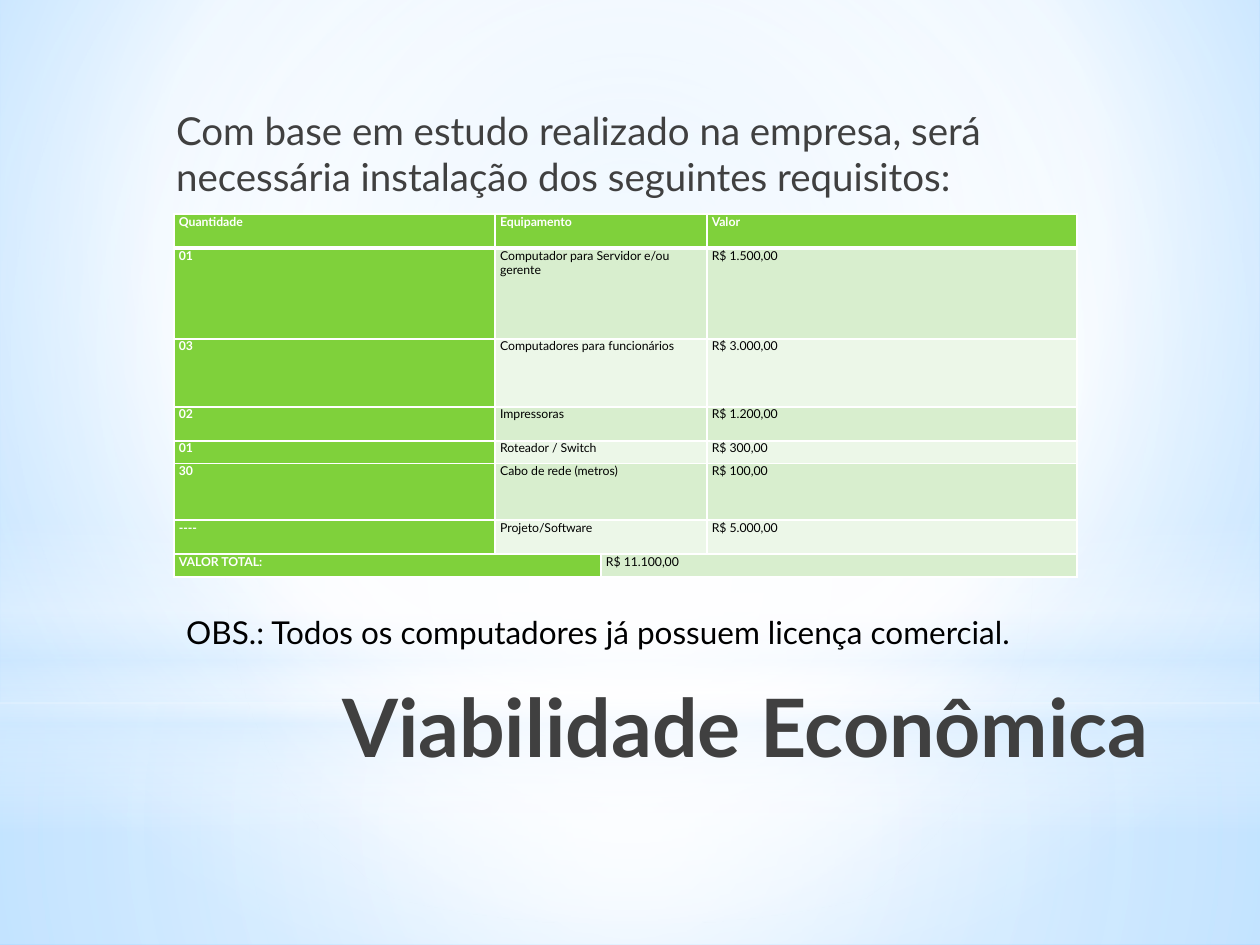
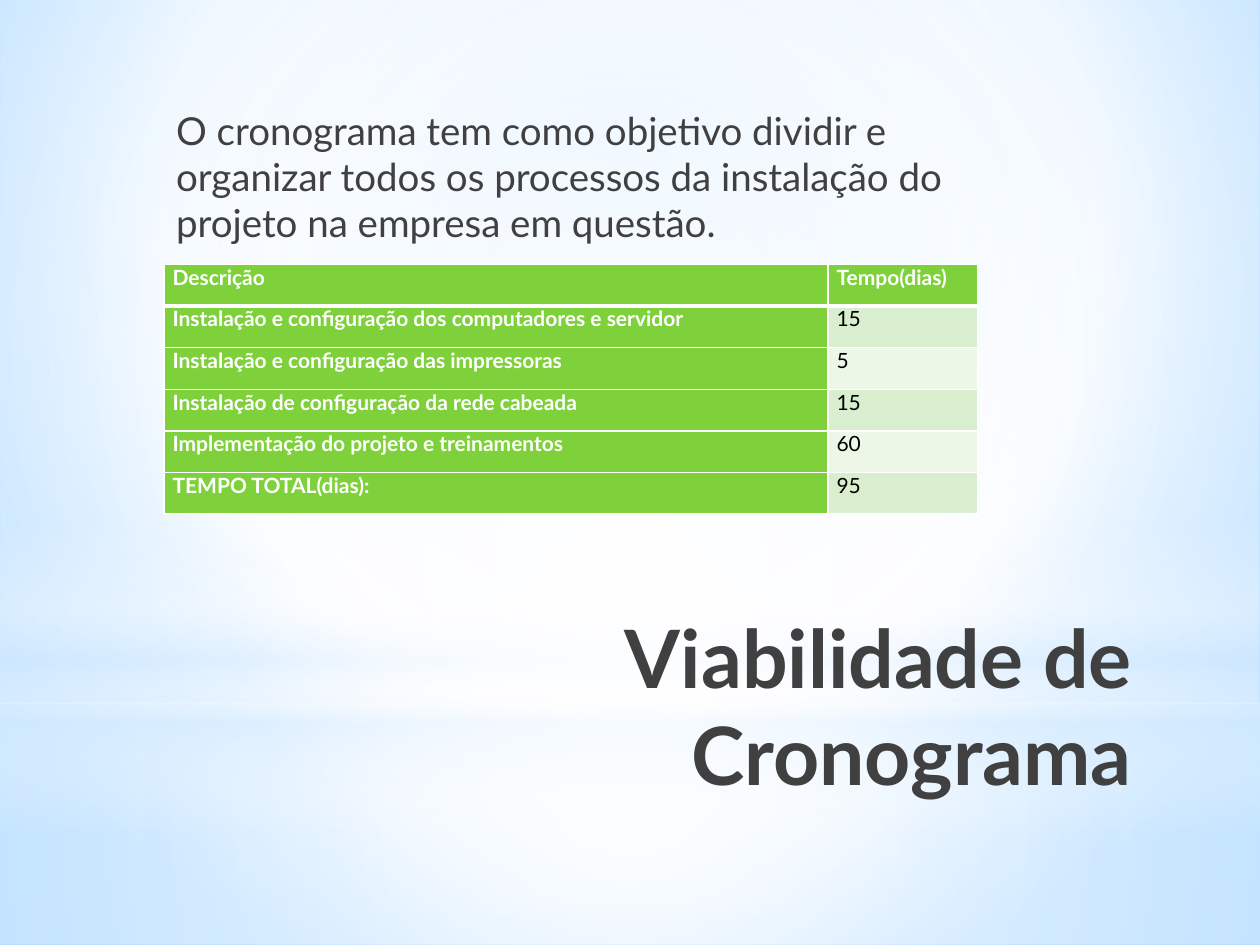
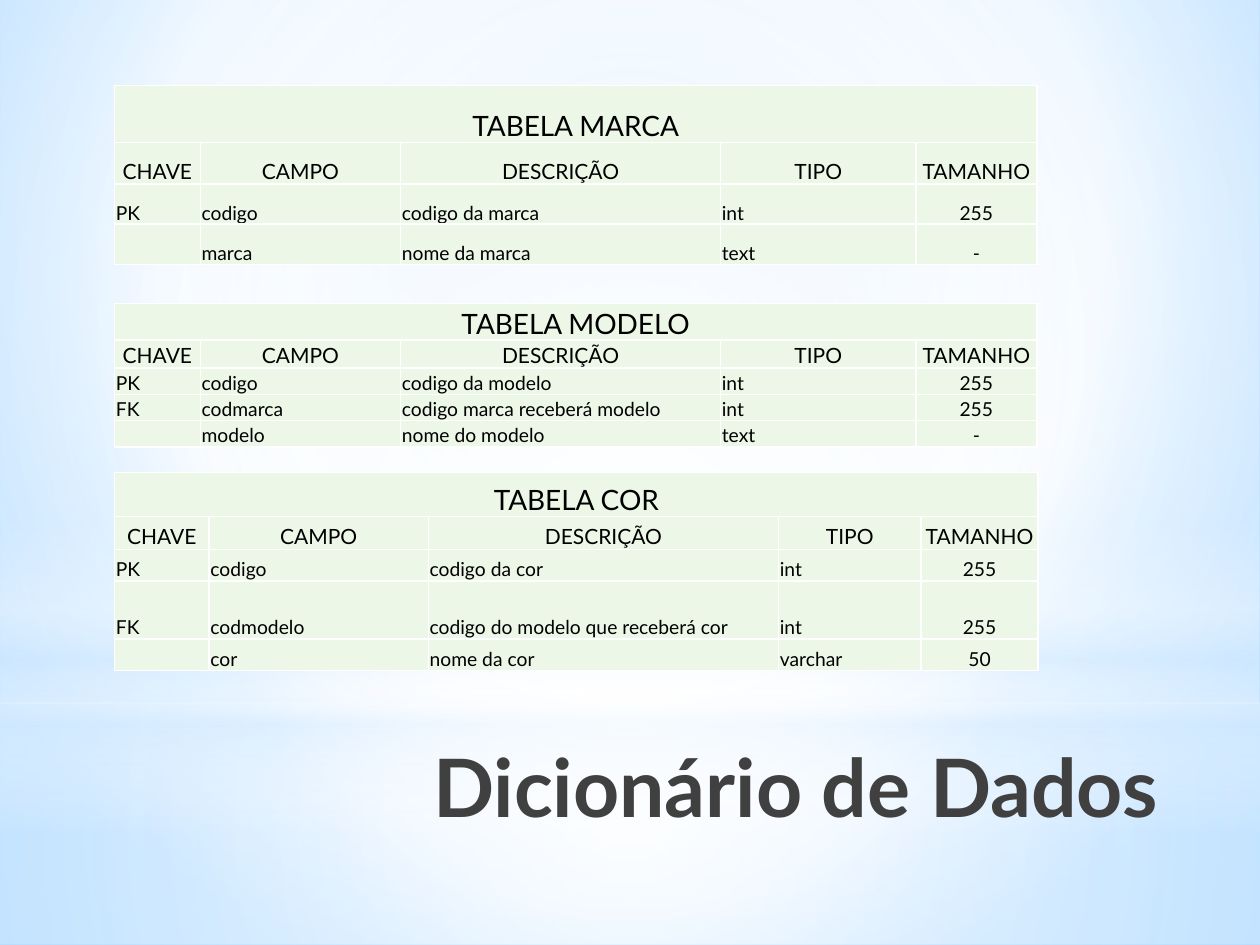
import dataclasses
import typing

import lxml.etree
import pptx
import pptx.dml.color
import pptx.enum.shapes
import pptx.enum.text
import pptx.oxml.ns
import pptx.text.text
import pptx.util

PX = 9144
FACE = "Lato"
HUES = {
    "white": "FFFFFF",
    "black": "000000",
    "gray": "404040",
    "green": "7FD13B",
    "mint": "D8EECE",
    "pale": "ECF7E8",
    "sky": "C2E3FF",
    "azure": "79C1FF",
    "mist": "D6ECFF",
}
SIDES = ("L", "R", "T", "B")
ALIGN = pptx.enum.text.PP_ALIGN
ANCHOR = pptx.enum.text.MSO_ANCHOR
FORM = pptx.enum.shapes.MSO_SHAPE
Stop = tuple[int, str, int]
Box = tuple[int, int, int, int]
MID = (50, 50, 50, 50)


@dataclasses.dataclass
class Band:
    box: Box
    stops: list[Stop]
    focus: typing.Optional[Box] = MID
    form: FORM = FORM.RECTANGLE


@dataclasses.dataclass
class Note:
    box: Box
    text: str
    size: int
    hue: str = "gray"
    bold: bool = False
    align: ALIGN = ALIGN.LEFT
    indent: int = 0


@dataclasses.dataclass
class Look:
    fill: str
    hue: str
    size: int
    bold: bool = False
    align: ALIGN = ALIGN.LEFT


@dataclasses.dataclass
class Grid:
    spot: tuple[int, int]
    cols: list[int]
    rows: list[int]
    texts: list[list[str]]
    look: typing.Callable[[int, int], Look]
    pads: Box
    spans: list[tuple[int, int, int]]
    anchor: ANCHOR = ANCHOR.TOP
    rule: int = 1


SKY = [(0, "sky", 100), (60, "white", 100), (100, "azure", 100)]
BANDS = [
    Band((0, 558, 1000, 192), [(0, "white", 91), (37, "white", 76), (100, "mist", 79)]),
    Band((0, 0, 1000, 558), [(0, "white", 89), (48, "white", 62), (100, "mist", 79)]),
    Band(
        (0, 412, 1000, 250),
        [(0, "white", 0), (29, "white", 30), (45, "mist", 40),
         (55, "white", 26), (65, "mist", 60), (100, "white", 0)],
        None,
    ),
    Band((0, 175, 1000, 558), [(0, "white", 100), (56, "white", 0)], form=FORM.OVAL),
]


def emu(*vals: int) -> list[int]:
    return [val * PX for val in vals]


def tint(name: str) -> pptx.dml.color.RGBColor:
    return pptx.dml.color.RGBColor.from_string(HUES[name])


def put(item: typing.Any, vals: dict) -> None:
    for key, val in vals.items():
        setattr(item, key, val)


def node(root: typing.Any, tag: str, **vals: typing.Any) -> typing.Any:
    names = {key: str(val) for key, val in vals.items()}
    return lxml.etree.SubElement(root, pptx.oxml.ns.qn(f"a:{tag}"), names)


def blend(fill: typing.Any, root: typing.Any, stops: list[Stop],
          focus: typing.Optional[Box]) -> None:
    fill.gradient()
    grad = root.find(".//" + pptx.oxml.ns.qn("a:gradFill"))
    for kid in list(grad):
        grad.remove(kid)
    chain = node(grad, "gsLst")
    for pos, name, alpha in stops:
        color = node(node(chain, "gs", pos=pos * 1000), "srgbClr", val=HUES[name])
        if alpha < 100:
            node(color, "alpha", val=alpha * 1000)
    if focus:
        edges = {key: val * 1000 for key, val in zip("ltrb", focus)}
        node(node(grad, "path", path="circle"), "fillToRect", **edges)
    else:
        node(grad, "lin", ang=5400000, scaled=0)


def ink(font: typing.Any, size: int, hue: str, bold: bool) -> None:
    put(font, {"name": FACE, "size": pptx.util.Pt(size), "bold": bold})
    font.color.rgb = tint(hue)


def draw_band(slide: typing.Any, band: Band) -> None:
    shape = slide.shapes.add_shape(band.form, *emu(*band.box))
    shape.shadow.inherit = False
    shape.line.fill.background()
    blend(shape.fill, shape.element, band.stops, band.focus)


def draw_note(slide: typing.Any, note: Note) -> None:
    frame = slide.shapes.add_textbox(*emu(*note.box)).text_frame
    put(frame, {"word_wrap": True, "vertical_anchor": ANCHOR.TOP})
    par = frame.paragraphs[0]
    par.alignment = note.align
    if note.indent:
        props = par._p.get_or_add_pPr()
        props.set("marL", str(note.indent * PX))
        props.set("indent", "0")
    run = par.add_run()
    run.text = note.text
    ink(run.font, note.size, note.hue, note.bold)


def edge(cell: typing.Any, widths: dict[str, int]) -> None:
    props = cell._tc.get_or_add_tcPr()
    for side in SIDES:
        line = node(props, f"ln{side}", w=widths.get(side, 1) * 12700)
        node(node(line, "solidFill"), "srgbClr", val=HUES["white"])


def draw_cell(cell: typing.Any, text: str, grid: Grid, row: int, col: int) -> None:
    look = grid.look(row, col)
    thick = {0: {"B": grid.rule}, 1: {"T": grid.rule}}
    edge(cell, thick.get(row, {}))
    cell.fill.solid()
    cell.fill.fore_color.rgb = tint(look.fill)
    keys = ("margin_left", "margin_top", "margin_right", "margin_bottom")
    put(cell, dict(zip(keys, emu(*grid.pads))))
    cell.vertical_anchor = grid.anchor
    par = cell.text_frame.paragraphs[0]
    par.alignment = look.align
    if text:
        run = par.add_run()
        run.text = text
        font = run.font
    else:
        font = pptx.text.text.Font(par._p.get_or_add_endParaRPr())
    ink(font, look.size, look.hue, look.bold)


def draw_grid(slide: typing.Any, grid: Grid) -> None:
    box = emu(*grid.spot, sum(grid.cols), sum(grid.rows))
    table = slide.shapes.add_table(len(grid.rows), len(grid.cols), *box).table
    put(table, {"first_row": False, "horz_banding": False})
    for col, width in zip(table.columns, emu(*grid.cols)):
        col.width = width
    for row, height in zip(table.rows, emu(*grid.rows)):
        row.height = height
    for row, texts in enumerate(grid.texts):
        for col, text in enumerate(texts):
            draw_cell(table.cell(row, col), text, grid, row, col)
    for row, start, end in grid.spans:
        table.cell(row, start).merge(table.cell(row, end))


def green(size: int, heads: dict[int, int]) -> typing.Callable[[int, int], Look]:
    def look(row: int, col: int) -> Look:
        if row == 0 or col < heads.get(row, 1):
            return Look("green", "white", size, True)
        return Look("mint" if row % 2 else "pale", "black", size)
    return look


def plain(row: int, col: int) -> Look:
    size = {0: 16, 1: 12}.get(row, 11)
    mid = row < 2 or col == 4
    return Look("pale", "black", size, align=ALIGN.CENTER if mid else ALIGN.LEFT)


def fields(name: str, top: int, cols: list[int], rows: list[int],
           *lines: list[str]) -> Grid:
    texts = [
        [f"TABELA {name}", "", "", "", ""],
        ["CHAVE", "CAMPO", "DESCRIÇÃO", "TIPO", "TAMANHO"],
        *lines,
    ]
    return Grid((91, top), cols, rows, texts, plain, (1, 1, 1, 0),
                [(0, 0, 4)], ANCHOR.BOTTOM)


def title(left: int, top: int, width: int, text: str) -> Note:
    return Note((left, top, width, 125), text, 46, bold=True, align=ALIGN.RIGHT)


def intro(height: int, text: str) -> Note:
    return Note((125, 80, 700, height), text, 22, indent=5)


GOODS = [
    ("Quantidade", "Equipamento", "Valor"),
    ("01", "Computador para Servidor e/ou gerente", "R$ 1.500,00"),
    ("03", "Computadores para funcionários", "R$ 3.000,00"),
    ("02", "Impressoras", "R$ 1.200,00"),
    ("01", "Roteador / Switch", "R$ 300,00"),
    ("30", "Cabo de rede (metros)", "R$ 100,00"),
    ("----", "Projeto/Software", "R$ 5.000,00"),
]
COSTS = Grid(
    (138, 170), [255, 84, 84, 294], [27, 72, 54, 27, 18, 45, 27, 18],
    [[count, good, "", price] for count, good, price in GOODS]
    + [["VALOR TOTAL:", "", "R$ 11.100,00", ""]],
    green(7, {7: 2}), (4, 0, 4, 0),
    [(row, 1, 2) for row in range(7)] + [(7, 0, 1), (7, 2, 3)],
    rule=3,
)
TIMES = Grid(
    (130, 210), [527, 119], [33] * 6,
    [
        ["Descrição", "Tempo(dias)"],
        ["Instalação e configuração dos computadores e servidor", "15"],
        ["Instalação e configuração das impressoras", "5"],
        ["Instalação de configuração da rede cabeada", "15"],
        ["Implementação do projeto e treinamentos", "60"],
        ["TEMPO TOTAL(dias):", "95"],
    ],
    green(12, {}), (7, 0, 7, 0), [], rule=3,
)
WIDE = [68, 159, 254, 155, 96]
BRAND = fields(
    "MARCA", 68, WIDE, [45, 33, 32, 32],
    ["PK", "codigo", "codigo da marca", "int", "255"],
    ["", "marca", "nome da marca", "text", "-"],
)
MODEL = fields(
    "MODELO", 241, WIDE, [29, 22, 21, 21, 21],
    ["PK", "codigo", "codigo da modelo", "int", "255"],
    ["FK", "codmarca", "codigo marca receberá modelo", "int", "255"],
    ["", "modelo", "nome do modelo", "text", "-"],
)
COLOR = fields(
    "COR", 375, [75, 174, 278, 113, 93], [35, 26, 25, 46, 25],
    ["PK", "codigo", "codigo da cor", "int", "255"],
    ["FK", "codmodelo", "codigo do modelo que receberá cor", "int", "255"],
    ["", "cor", "nome da cor", "varchar", "50"],
)
PAGES = [
    [
        title(209, 532, 712, "Viabilidade Econômica"),
        intro(460, "Com base em estudo realizado na empresa, será necessária "
                   "instalação dos seguintes requisitos:"),
        COSTS,
        Note((138, 482, 717, 40),
             "OBS.: Todos os computadores já possuem licença comercial.",
             18, "black"),
    ],
    [
        title(177, 478, 731, "Viabilidade de Cronograma"),
        intro(380, "O cronograma tem como objetivo dividir e organizar todos os "
                   "processos da instalação do projeto na empresa em questão."),
        TIMES,
    ],
    [title(217, 580, 712, "Dicionário de Dados"), COLOR, BRAND, MODEL],
]
PENS = {Band: draw_band, Note: draw_note, Grid: draw_grid}


def main() -> None:
    deck = pptx.Presentation()
    put(deck, dict(zip(("slide_width", "slide_height"), emu(1000, 750))))
    for page in PAGES:
        slide = deck.slides.add_slide(deck.slide_layouts[6])
        blend(slide.background.fill, slide.element, SKY, (20, 10, 20, 60))
        for item in BANDS + page:
            PENS[type(item)](slide, item)
    deck.save("out.pptx")


if __name__ == "__main__":
    main()
